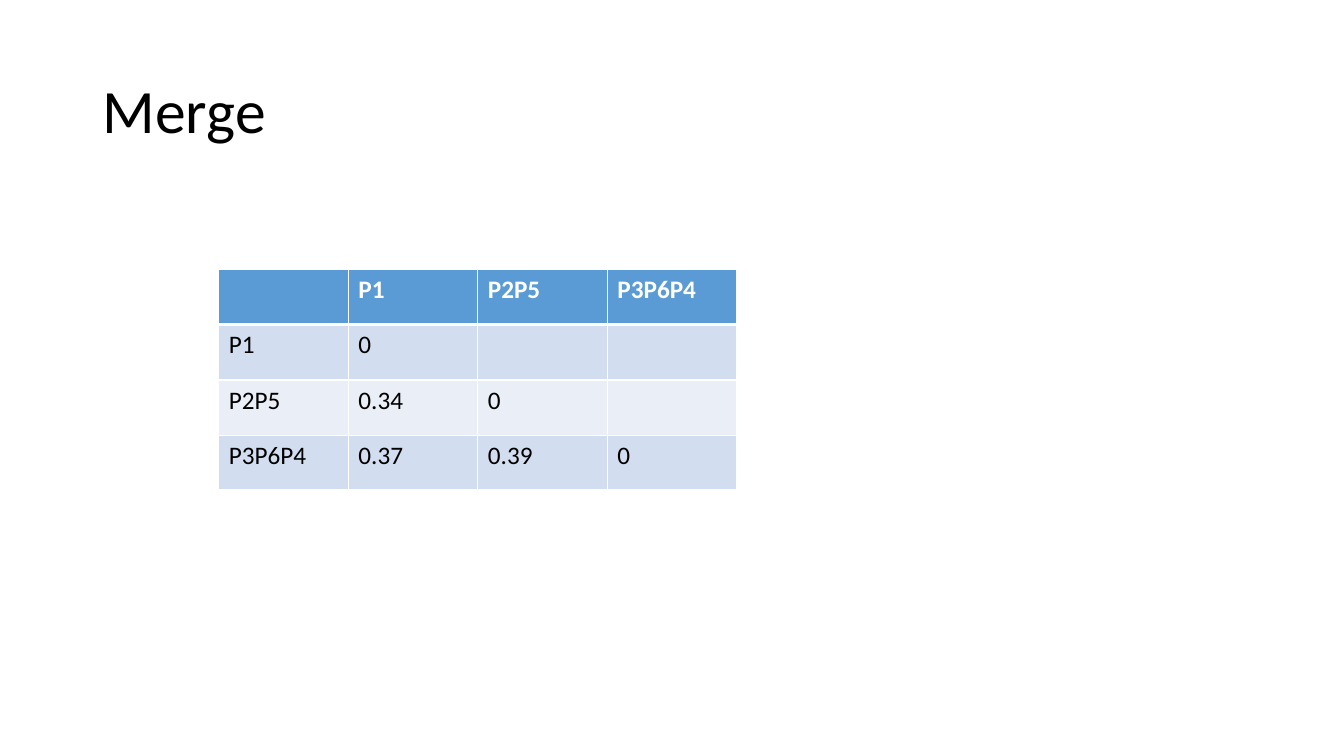
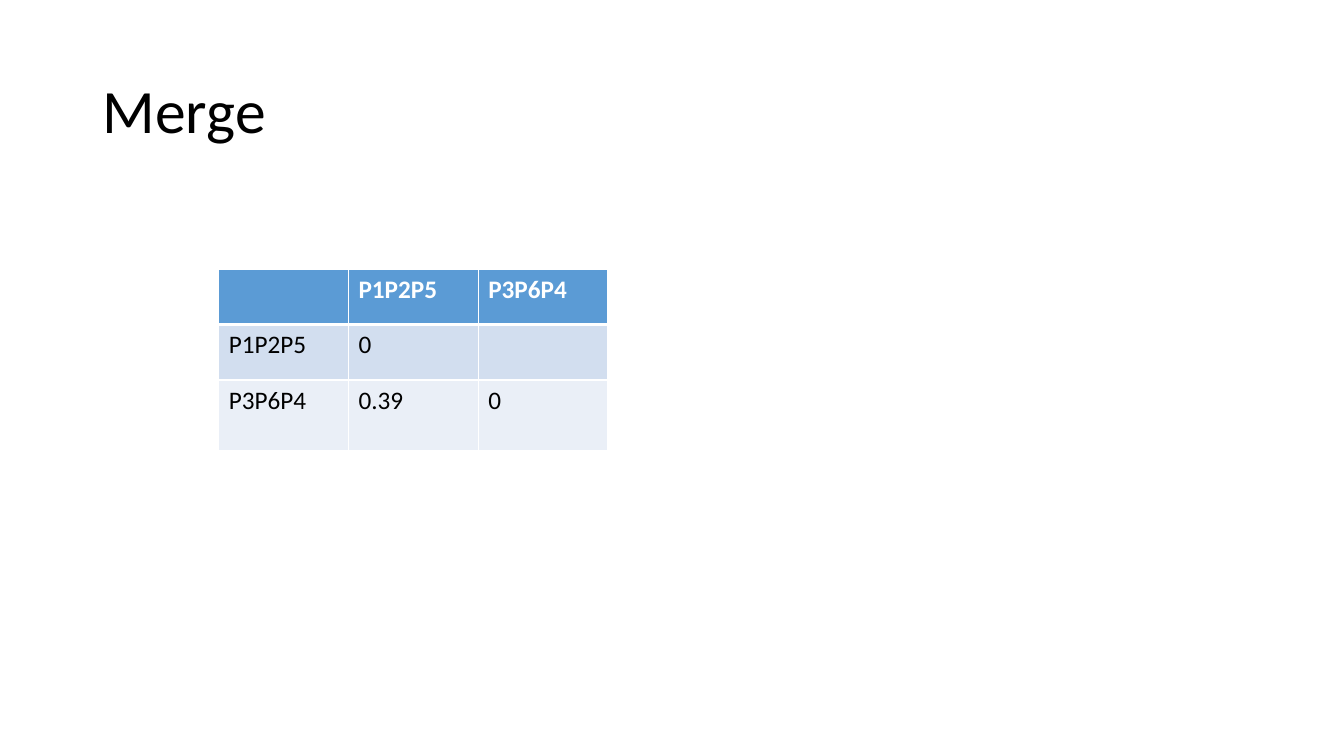
from lxml.etree import SubElement
from pptx import Presentation
from pptx.dml.color import RGBColor
from pptx.enum.text import MSO_ANCHOR
from pptx.oxml.ns import qn
from pptx.util import Emu, Pt

EMU_PER_PX = 9144
SLIDE_SIZE = (1333, 750)
FONT = "Calibri"
BLACK, WHITE = "000000", "FFFFFF"
HEADER_FILL = "5B9BD5"
BAND_FILLS = ("D2DEEF", "EAEFF7")

TITLE_BOX = (92, 40, 1150, 145)
MATRIX_LEFT, MATRIX_TOP = 217, 267
ROW_HEIGHT = 55
THIN, THICK = 1, 3

# Each merge step: clusters, lower triangle of distances, matrix width and height.
MERGE_STEPS = [
    (["P1", "P2P5", "P3P6P4"], [["0"], ["0.34", "0"], ["0.37", "0.39", "0"]], 514, 219),
    (["P1P2P5", "P3P6P4"], [["0"], ["0.39", "0"]], 386, 180),
]


def px(length):
    return Emu(length * EMU_PER_PX)


def color(hex_code):
    return RGBColor.from_string(hex_code)


def add_run(paragraph, text, size, hex_code, bold=False):
    run = paragraph.add_run()
    run.text = text
    font = run.font
    font.name, font.size, font.bold = FONT, Pt(size), bold
    font.color.rgb = color(hex_code)


def add_title(slide, text):
    frame = slide.shapes.add_textbox(*map(px, TITLE_BOX)).text_frame
    frame.word_wrap = True
    frame.vertical_anchor = MSO_ANCHOR.MIDDLE
    heading = frame.paragraphs[0]
    heading.line_spacing = 0.9
    add_run(heading, text, 44, BLACK)


def set_borders(cell, top, bottom):
    """Draw white borders; top and bottom are widths in points."""
    properties = cell._tc.get_or_add_tcPr()
    widths = {"a:lnL": THIN, "a:lnR": THIN, "a:lnT": top, "a:lnB": bottom}
    for position, (tag, width) in enumerate(widths.items()):
        border = SubElement(properties, qn(tag), w=str(Pt(width)))
        fill = SubElement(border, qn("a:solidFill"))
        SubElement(fill, qn("a:srgbClr"), val=WHITE)
        properties.insert(position, border)


def style_cell(cell, row, text):
    is_header = row == 0
    cell.fill.solid()
    cell.fill.fore_color.rgb = color(HEADER_FILL if is_header else BAND_FILLS[(row - 1) % 2])
    set_borders(cell, THICK if row == 1 else THIN, THICK if is_header else THIN)
    if text:
        add_run(cell.text_frame.paragraphs[0], text, 18,
                WHITE if is_header else BLACK, is_header)


def add_distance_matrix(slide, clusters, distances, width, height):
    """Add a lower-triangular matrix; its last row takes the remaining height."""
    size = len(clusters) + 1
    matrix = slide.shapes.add_table(
        size, size, px(MATRIX_LEFT), px(MATRIX_TOP), px(width), px(height)).table
    matrix.horz_banding = False
    for row in matrix.rows:
        row.height = px(ROW_HEIGHT)
    matrix.rows[size - 1].height = px(height - ROW_HEIGHT * (size - 1))

    lines = [["", *clusters]]
    lines += [[name, *values] for name, values in zip(clusters, distances)]
    for row, line in enumerate(lines):
        padded = line + [""] * (size - len(line))
        for column, text in enumerate(padded):
            style_cell(matrix.cell(row, column), row, text)


def main():
    deck = Presentation()
    deck.slide_width, deck.slide_height = map(px, SLIDE_SIZE)
    blank = deck.slide_layouts[6]
    for step in MERGE_STEPS:
        slide = deck.slides.add_slide(blank)
        add_title(slide, "Merge")
        add_distance_matrix(slide, *step)
    deck.save("out.pptx")


if __name__ == "__main__":
    main()
